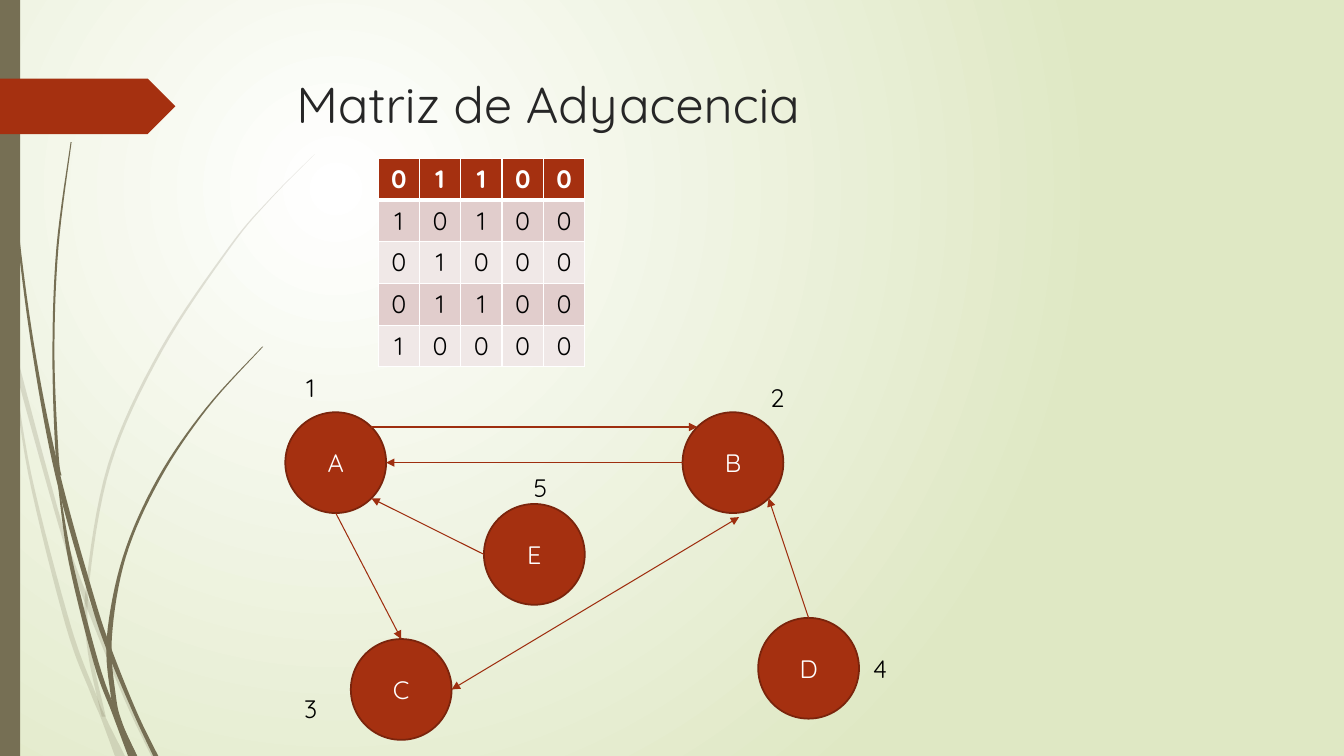
from math import cos, radians, sin

from lxml.etree import SubElement
from pptx import Presentation
from pptx.dml.color import RGBColor
from pptx.enum.shapes import MSO_CONNECTOR, MSO_SHAPE
from pptx.enum.text import MSO_ANCHOR, MSO_AUTO_SIZE, PP_ALIGN
from pptx.oxml.ns import qn
from pptx.util import Inches, Pt

FONT = "Quicksand"
COLORS = {
    "white": "FFFFFF", "black": "000000", "title": "262626", "back": "DFE8C4",
    "stem": "766F54", "red": "A53010", "ring": "7A240C", "arrow": "9E2E0F",
    "odd": "E1CDCC", "even": "F0E8E7",
}

LIGHT_BLADES = [
    [(2.9, 0, 0.02), (3.5, 0.11, 0.16), (5.21, 0.58, 0.62), (5.95, 0.83, 0.88),
     (6.93, 1.23, 1.27), (7.5, 1.5, 1.55)],
    [(3.5, 0.11, 0.12), (4.7, 0.28, 0.31), (6.2, 0.65, 0.7), (6.88, 0.9, 0.95),
     (7.12, 1, 1.05), (7.5, 1.14, 1.24)],
    [(1.53, 3.12, 3.12), (1.97, 2.68, 2.69), (2.45, 2.27, 2.29), (3.48, 1.58, 1.61),
     (4.61, 1.07, 1.1), (5.84, 0.85, 0.88), (6.46, 0.87, 0.91), (7.11, 1.01, 1.05)],
]
DARK_BLADES = [
    [(0, 0.03, 0.04), (1.1, 0.07, 0.08), (2.33, 0.17, 0.19), (3.55, 0.33, 0.36),
     (4.72, 0.55, 0.6), (5.91, 0.88, 0.93), (6.45, 1.06, 1.11), (7.07, 1.32, 1.36),
     (7.5, 1.52, 1.57)],
    [(4.77, 0.57, 0.58), (5.57, 0.68, 0.72), (6.58, 0.93, 0.98), (7.07, 1.11, 1.16),
     (7.5, 1.27, 1.36)],
    [(3.44, 2.6, 2.61), (4.05, 2.04, 2.06), (4.75, 1.56, 1.59), (5.52, 1.22, 1.25),
     (6.32, 1.06, 1.11), (6.91, 1.1, 1.15), (7.19, 1.17, 1.22), (7.5, 1.3, 1.36)],
    [(1.41, 0.7, 0.71), (2.45, 0.56, 0.58), (3.49, 0.52, 0.54), (4.49, 0.55, 0.58),
     (4.72, 0.6, 0.61)],
]
MATRIX = ["01100", "10100", "01000", "01100", "10000"]
NODES = {"A": (2.83, 4.09), "E": (4.8, 5), "C": (3.48, 6.34), "D": (7.52, 6.13), "B": (6.77, 4.09)}
LABELS = {"1": (2.87, 3.61), "2": (7.5, 3.71), "3": (2.87, 6.8), "4": (8.52, 6.4), "5": (5.15, 4.61)}


def rgb(name):
    return RGBColor.from_string(COLORS[name])


def rim(node, angle):
    x, y = NODES[node]
    return x + 0.5 + 0.5 * cos(radians(angle)), y + 0.5 + 0.5 * sin(radians(angle))


def smooth_rows(rows, steps=8):
    padded = [rows[0], *rows, rows[-1]]
    result = []
    for a, b, c, d in zip(padded, padded[1:], padded[2:], padded[3:]):
        for i in range(steps):
            t = i / steps
            result.append([
                q + 0.5 * t * (r - p + t * (2 * p - 5 * q + 4 * r - w + t * (3 * (q - r) + w - p)))
                for p, q, r, w in zip(a, b, c, d)
            ])
    return result + [rows[-1]]


class SlideBuilder:
    def __init__(self, prs):
        self.s = prs.slides.add_slide(prs.slide_layouts[5])

    def background(self):
        fill = self.s.background.fill
        fill.gradient()
        for stop, position, name in zip(fill.gradient_stops, (0, 1), ("white", "back")):
            stop.position = position
            stop.color.rgb = rgb(name)
        grad = self.s._element.find(".//" + qn("a:gradFill"))
        grad.remove(grad.find(qn("a:lin")))
        circle = SubElement(grad, qn("a:path"), path="circle")
        SubElement(circle, qn("a:fillToRect"), l="50000", t="50000", r="100000", b="100000")

    def set_text(self, tf, text, color, size=18, align=PP_ALIGN.CENTER, bold=False):
        p = tf.paragraphs[0]
        p.text = text
        p.alignment = align
        p.font.name, p.font.size, p.font.bold = FONT, Pt(size), bold
        p.font.color.rgb = rgb(color)

    def title(self, text, x, y, w, h):
        sp = self.s.shapes.title
        sp.left, sp.top, sp.width, sp.height = Inches(x), Inches(y), Inches(w), Inches(h)
        tf = sp.text_frame
        tf.auto_size = MSO_AUTO_SIZE.NONE
        tf.vertical_anchor = MSO_ANCHOR.TOP
        self.set_text(tf, text, "title", 36, PP_ALIGN.LEFT)

    def paint(self, sp, fill, line=None):
        sp.shadow.inherit = False
        sp.fill.solid()
        sp.fill.fore_color.rgb = rgb(fill)
        if line:
            sp.line.color.rgb = rgb(line)
            sp.line.width = Pt(1.25)
        else:
            sp.line.fill.background()

    def shape(self, kind, x, y, w, h, fill, line=None):
        sp = self.s.shapes.add_shape(kind, Inches(x), Inches(y), Inches(w), Inches(h))
        self.paint(sp, fill, line)
        return sp

    def blade(self, rows, alpha=None):
        rows = smooth_rows(rows)
        points = [(Inches(left), Inches(y)) for y, left, _ in rows]
        points += [(Inches(right), Inches(y)) for y, _, right in reversed(rows)]
        builder = self.s.shapes.build_freeform(*points[0])
        builder.add_line_segments(points[1:])
        sp = builder.convert_to_shape()
        self.paint(sp, "stem")
        if alpha:
            color = sp._element.spPr.find(qn("a:solidFill"))[0]
            SubElement(color, qn("a:alpha"), val=str(alpha * 1000))

    def node(self, name, x, y):
        sp = self.shape(MSO_SHAPE.OVAL, x, y, 1, 1, "red", "ring")
        sp.text_frame.vertical_anchor = MSO_ANCHOR.MIDDLE
        self.set_text(sp.text_frame, name, "white")
        return sp

    def label(self, text, x, y):
        tf = self.s.shapes.add_textbox(Inches(x), Inches(y), Inches(0.42), Inches(0.46)).text_frame
        tf.word_wrap = True
        tf.vertical_anchor = MSO_ANCHOR.MIDDLE
        self.set_text(tf, text, "black")

    def arrow(self, start, end, both=False):
        cx = self.s.shapes.add_connector(MSO_CONNECTOR.STRAIGHT, *map(Inches, start + end))
        cx.line.color.rgb = rgb("arrow")
        cx.line.width = Pt(0.75)
        ln = cx._element.spPr.find(qn("a:ln"))
        for tag in ("a:headEnd", "a:tailEnd")[0 if both else 1:]:
            SubElement(ln, qn(tag), type="triangle")
        SubElement(cx._element.spPr, qn("a:effectLst"))
        return cx

    def borders(self, cell, widths):
        tcPr = cell._tc.get_or_add_tcPr()
        for i, (side, width) in enumerate(widths.items()):
            ln = SubElement(tcPr, qn("a:ln" + side), w=str(int(Pt(width))))
            SubElement(SubElement(ln, qn("a:solidFill")), qn("a:srgbClr"), val=COLORS["white"])
            tcPr.insert(i, ln)

    def matrix(self, rows, x, y, side):
        n = len(rows)
        size = Inches(side * n)
        table = self.s.shapes.add_table(n, n, Inches(x), Inches(y), size, size).table
        for i, row in enumerate(rows):
            table.rows[i].height = table.columns[i].width = Inches(side)
            for j, value in enumerate(row):
                cell = table.cell(i, j)
                cell.fill.solid()
                cell.fill.fore_color.rgb = rgb("red" if i == 0 else "odd" if i % 2 else "even")
                self.set_text(cell.text_frame, value, "black" if i else "white", bold=i == 0)
                self.borders(cell, {"L": 1, "R": 1, "T": 3 if i == 1 else 1, "B": 1 if i else 3})


def main():
    prs = Presentation()
    prs.slide_width, prs.slide_height = Inches(13.33), Inches(7.5)
    slide = SlideBuilder(prs)
    slide.background()
    for rows in LIGHT_BLADES:
        slide.blade(rows, alpha=20)
    for rows in DARK_BLADES:
        slide.blade(rows)
    slide.shape(MSO_SHAPE.RECTANGLE, 0, 0, 0.2, 7.5, "stem")
    slide.shape(MSO_SHAPE.PENTAGON, 0, 0.78, 1.74, 0.55, "red")
    slide.title("Matriz de Adyacencia", 2.84, 0.68, 9.75, 1.4)
    slide.matrix(MATRIX, 3.75, 1.57, 0.41)

    nodes = {name: slide.node(name, *place) for name, place in NODES.items()}
    slide.arrow(rim("A", -45), rim("B", -135))
    slide.arrow(rim("B", 180), rim("A", 0))
    slide.arrow(rim("E", 180), rim("A", 45))
    slide.arrow(rim("A", 90), rim("C", -90)).end_connect(nodes["C"], 0)
    slide.arrow(rim("D", -90), rim("B", 45)).begin_connect(nodes["D"], 0)
    slide.arrow(rim("C", 0), (7.33, 5.13), both=True)
    for text, place in LABELS.items():
        slide.label(text, *place)
    prs.save("out.pptx")


if __name__ == "__main__":
    main()
